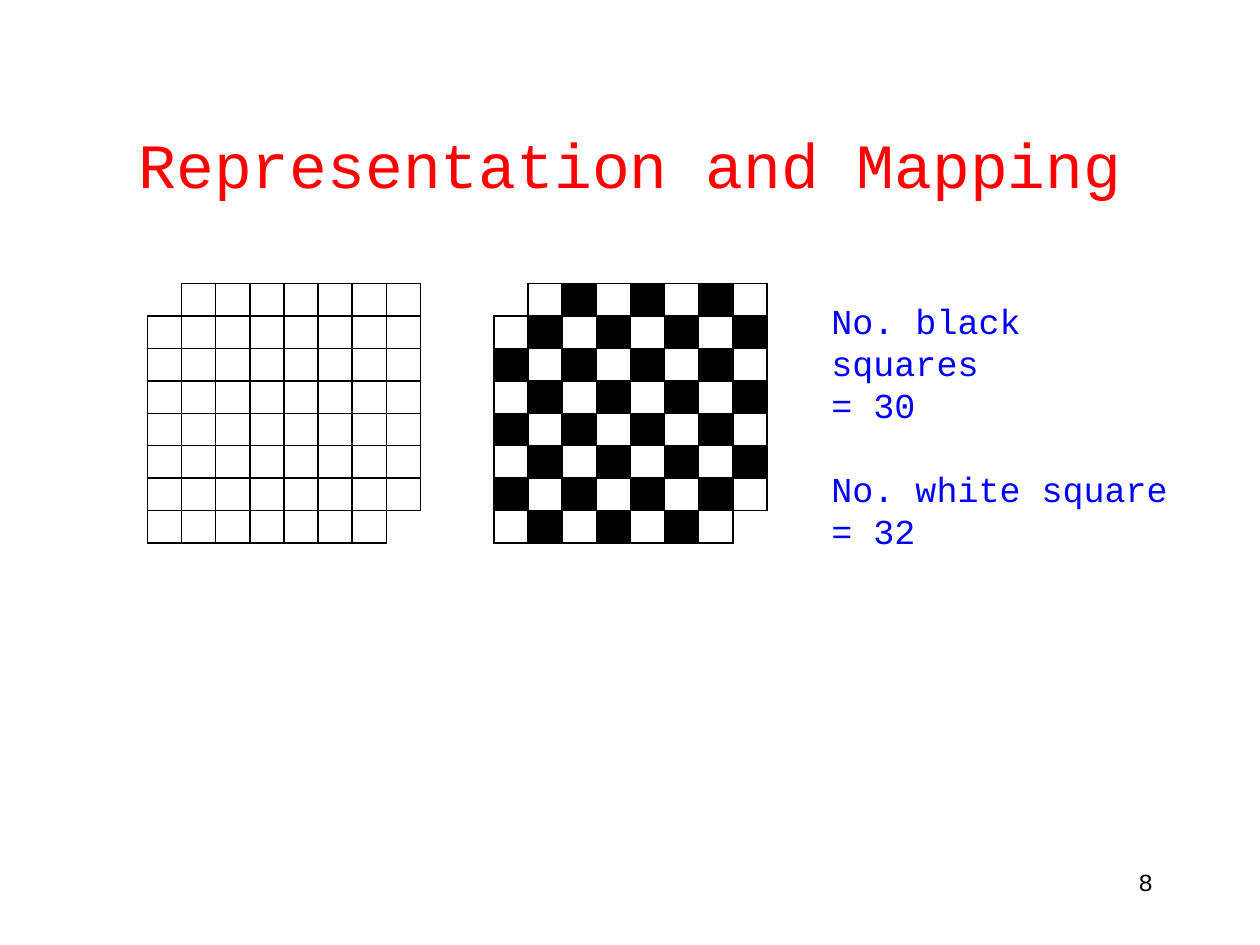
import pptx
import pptx.dml.color
import pptx.enum.text
import pptx.oxml
import pptx.oxml.ns
import pptx.util
from pptx.util import Inches

COLORS = {"title": "FF0000", "count": "0000FF", "ink": "000000", "paper": "FFFFFF"}
FONT = "Courier New"
SIDE = 8
BOARD_TOP = 2.25
BOARD_WIDTH = 2.17
BOARD_HEIGHT = 2.06
ALIGN = pptx.enum.text.PP_ALIGN


def rgb(name):
    """Return the named palette colour."""
    return pptx.dml.color.RGBColor.from_string(COLORS[name])


def write_text(frame, lines, size, color, align=ALIGN.LEFT, pitch=None, gap_before=()):
    """Fill a text frame, one paragraph a line, with a one-line gap before some."""
    frame.word_wrap = True
    for index, line in enumerate(lines):
        paragraph = frame.paragraphs[0] if index == 0 else frame.add_paragraph()
        paragraph.alignment = align
        if pitch:
            paragraph.line_spacing = pptx.util.Pt(pitch)
        if index in gap_before:
            paragraph.space_before = pptx.util.Pt(pitch)
        run = paragraph.add_run()
        run.text = line
        run.font.name = FONT
        run.font.size = pptx.util.Pt(size)
        run.font.color.rgb = rgb(color)


def add_label(slide, left, top, width, height, lines, **text_format):
    """Add a text box with formatted lines."""
    box = slide.shapes.add_textbox(Inches(left), Inches(top), Inches(width), Inches(height))
    write_text(box.text_frame, lines, **text_format)


def set_borders(cell, hidden):
    """Draw the cell's sides, leaving out the hidden ones."""
    properties = cell._tc.get_or_add_tcPr()
    namespace = pptx.oxml.ns.nsdecls("a")
    for position, side in enumerate("LRTB"):
        fill = "<a:noFill/>"
        if side not in hidden:
            fill = f'<a:solidFill><a:srgbClr val="{COLORS["ink"]}"/></a:solidFill>'
        border = f'<a:ln{side} {namespace} w="12700">{fill}</a:ln{side}>'
        properties.insert(position, pptx.oxml.parse_xml(border))


def add_board(slide, left, checkered):
    """Add a board that lacks two opposite corner squares."""
    table = slide.shapes.add_table(
        SIDE, SIDE, Inches(left), Inches(BOARD_TOP), Inches(BOARD_WIDTH), Inches(BOARD_HEIGHT)
    ).table
    table.first_row = table.horz_banding = False
    missing_sides = {(0, 0): "LT", (SIDE - 1, SIDE - 1): "RB"}
    for row in range(SIDE):
        table.rows[row].height = Inches(BOARD_HEIGHT / SIDE)
        for column in range(SIDE):
            square = table.cell(row, column)
            square.margin_left = square.margin_right = 0
            square.margin_top = square.margin_bottom = 0
            square.text_frame.paragraphs[0].font.size = pptx.util.Pt(8)
            missing = (row, column) in missing_sides
            black = checkered and not missing and (row + column) % 2 == 0
            square.fill.solid()
            square.fill.fore_color.rgb = rgb("ink" if black else "paper")
            hidden = missing_sides.get((row, column), "")
            set_borders(square, hidden)


def add_title(slide, wording):
    """Place and format the title placeholder."""
    title = slide.shapes.title
    title.left, title.top = Inches(0.75), Inches(0.67)
    title.width, title.height = Inches(8.5), Inches(1.25)
    title.text_frame.vertical_anchor = pptx.enum.text.MSO_ANCHOR.MIDDLE
    write_text(title.text_frame, [wording], size=36, color="title", align=ALIGN.CENTER)


def main():
    """Build and save the slide."""
    deck = pptx.Presentation()
    deck.slide_width, deck.slide_height = Inches(10), Inches(7.5)
    slide = deck.slides.add_slide(deck.slide_layouts[5])
    add_label(slide, 7.17, 6.83, 2.08, 0.5, ["8"], size=14, color="ink", align=ALIGN.RIGHT)
    add_title(slide, "Representation and Mapping")
    add_board(slide, 1.17, checkered=False)
    add_board(slide, 3.92, checkered=True)
    counts = ["No. black squares", "= 30", "No. white square", "= 32"]
    add_label(slide, 6.5, 2.33, 2.92, 2.1, counts, size=20, color="count", pitch=24, gap_before=(2,))
    deck.save("out.pptx")


if __name__ == "__main__":
    main()
